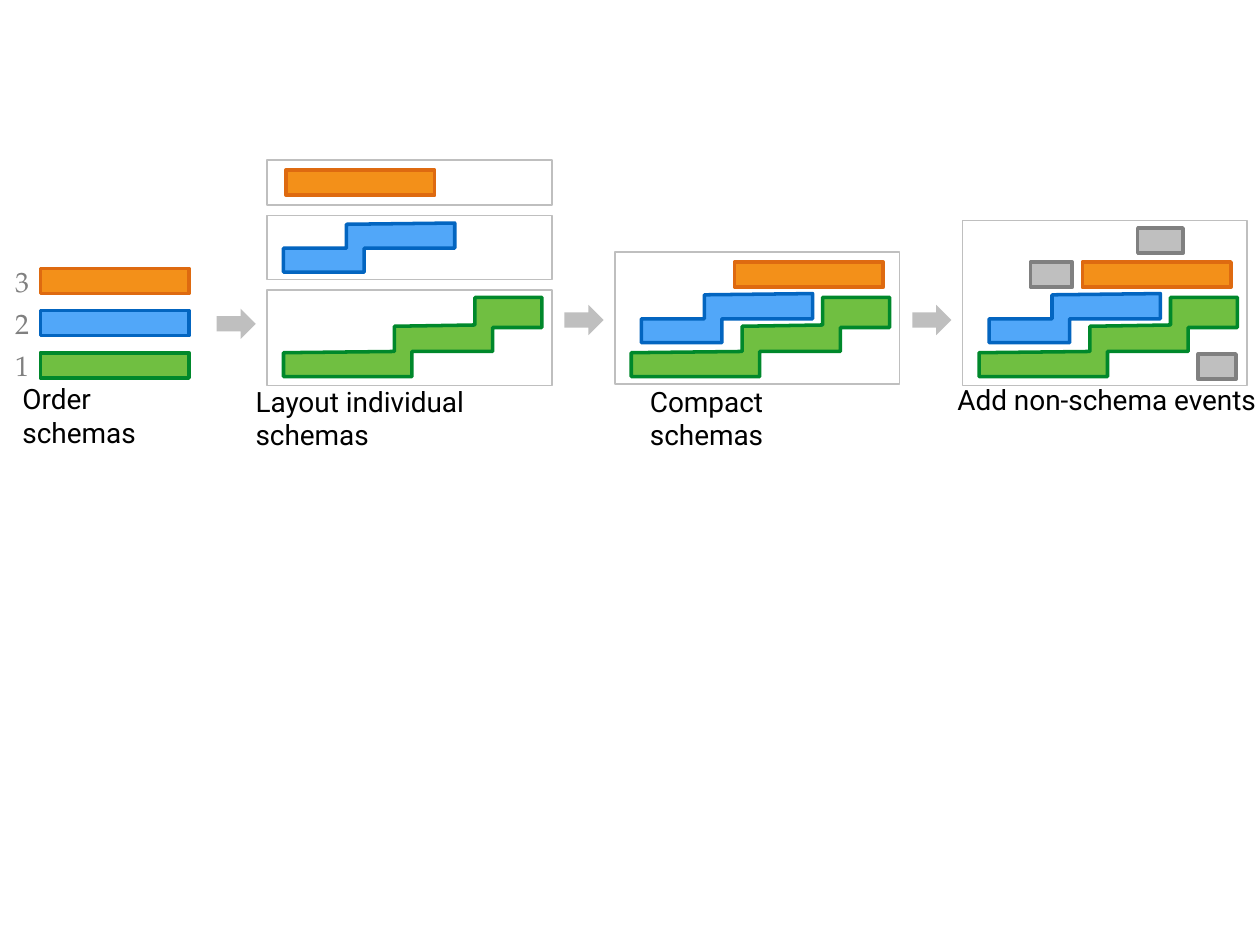
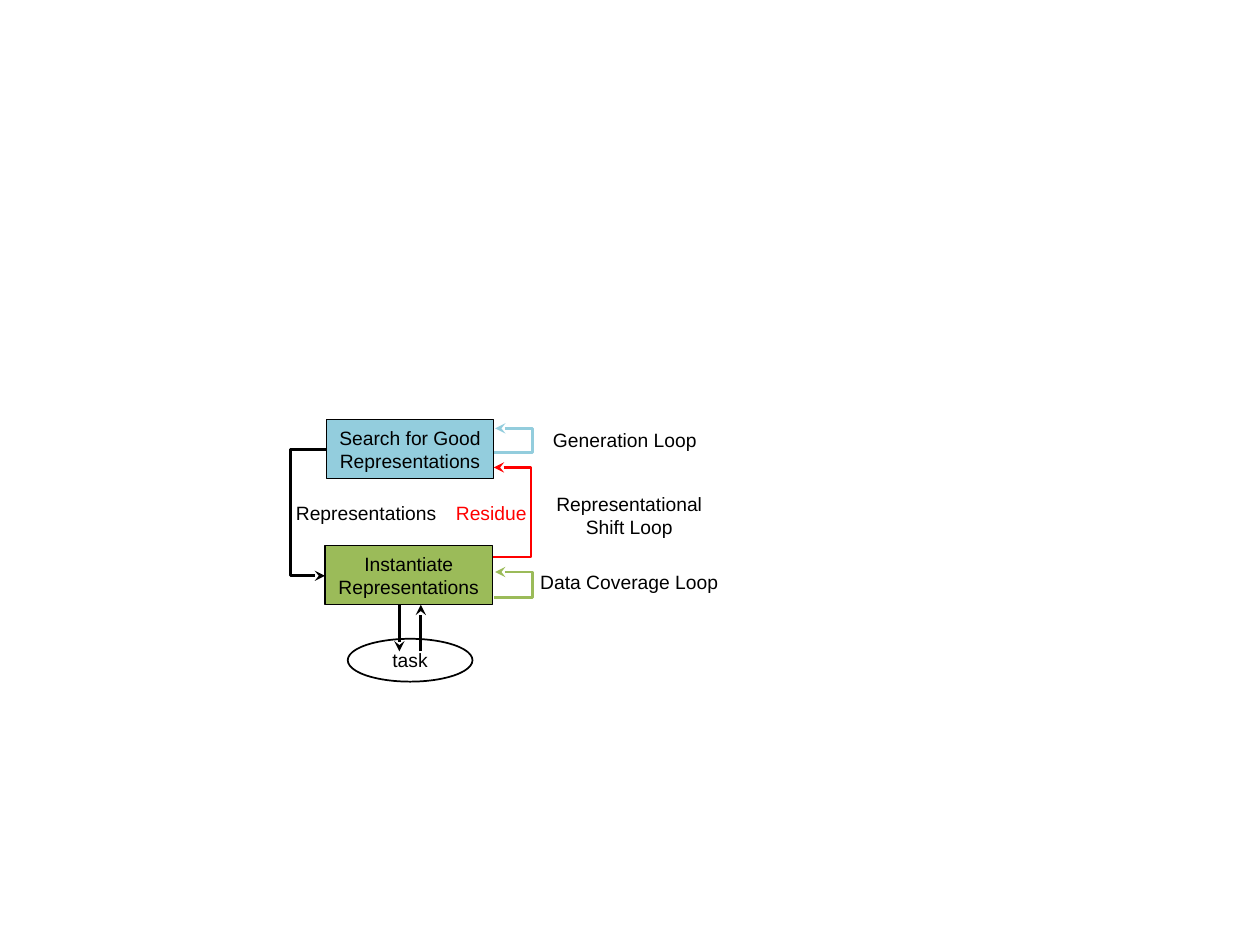
from lxml import etree
from pptx import Presentation
from pptx.dml.color import RGBColor
from pptx.enum.shapes import MSO_CONNECTOR, MSO_SHAPE
from pptx.enum.text import MSO_ANCHOR, PP_ALIGN
from pptx.oxml.ns import qn
from pptx.util import Inches, Pt

RECT, ROUND = MSO_SHAPE.RECTANGLE, MSO_SHAPE.ROUNDED_RECTANGLE
ARROW, OVAL = MSO_SHAPE.RIGHT_ARROW, MSO_SHAPE.OVAL
STRAIGHT, ELBOW = MSO_CONNECTOR.STRAIGHT, MSO_CONNECTOR.ELBOW
LEFT, CENTER, RIGHT = PP_ALIGN.LEFT, PP_ALIGN.CENTER, PP_ALIGN.RIGHT
TOP, MIDDLE = MSO_ANCHOR.TOP, MSO_ANCHOR.MIDDLE

COLORS = {
    "black": "000000", "red": "FF0000",
    "gray": "BFBFBF", "gray_line": "808080",
    "green": "70BF41", "green_line": "00882B",
    "blue": "51A7F9", "blue_line": "0365C0",
    "orange": "F39019", "orange_line": "DE6A10",
    "search": "93CDDD", "instantiate": "9BBB59",
}

# Slide 1: schema layout steps
BAR_W, BAR_H = 1.18, 0.2
PANEL_X, PANEL_W, STEP = 2.12, 2.26, 2.76
ORDER = [("3", "orange"), ("2", "blue"), ("1", "green")]
ORDER_Y, ORDER_GAP = 2.13, 0.335
ARROW_TOPS = [2.45, 2.42, 2.42]

# Outlines relative to their top left corner
GREEN_STEPS = [(0, 0.63), (1.02, 0.63), (1.02, 0.43), (1.66, 0.43), (1.66, 0.24),
               (2.05, 0.24), (2.05, 0), (1.52, 0), (1.52, 0.22), (0.88, 0.23),
               (0.88, 0.43), (0, 0.44)]
BLUE_STEPS = [(0, 0.39), (0.64, 0.39), (0.64, 0.2), (1.36, 0.2), (1.36, 0),
              (0.5, 0.01), (0.5, 0.2), (0, 0.2)]

# Frames are (top, height); schema places are (offset in panel, top)
PANELS = [
    {"frames": [(2.3, 0.76), (1.71, 0.51), (1.27, 0.36)],
     "blue": (0.13, 1.77), "orange": (0.15, 1.35)},
    {"frames": [(2, 1.05)], "blue": (0.21, 2.33), "orange": (0.95, 2.08)},
    {"frames": [(1.75, 1.31)], "blue": (0.21, 2.33), "orange": (0.95, 2.08)},
]
GREEN_PLACE = (0.13, 2.36)
OTHER_EVENTS = [(8.18, 2.08, 0.33), (9.51, 2.81, 0.3), (9.03, 1.81, 0.36)]
STEP_LABELS = [
    ("Order\vschemas", 0.08, 2.98, 1.69),
    ("Layout individual\vschemas", 1.93, 3, 2.74),
    ("Compact\vschemas", 5.06, 3, 2.04),
    ("Add non-schema events", 7.5, 2.99, 2.57),
]

# Slide 2: representation loops
BOXES = [
    ("Search for Good\nRepresentations".replace("\n", " "), 2.59, 3.33, "search"),
    ("Instantiate\nRepresentations", 2.58, 4.33, "instantiate"),
]
LOOP_LABELS = [
    ("Representations", 2.25, 3.93, 1.33, 0.29, LEFT, "black"),
    ("Residue", 3.52, 3.93, 0.77, 0.29, LEFT, "red"),
    ("Generation Loop", 4.29, 3.35, 1.35, 0.29, LEFT, "black"),
    ("Representational\nShift Loop", 4.31, 3.86, 1.37, 0.47, CENTER, "black"),
    ("Data Coverage Loop", 4.16, 4.48, 1.67, 0.29, CENTER, "black"),
]
# Start, end, x of the vertical stretch, colour, end that carries the arrowhead
LOOPS = [
    ((2.59, 3.57), (2.58, 4.57), 2.3, "black", "tailEnd"),
    ((3.92, 3.71), (3.91, 4.42), 4.22, "red", "headEnd"),
    ((3.93, 3.4), (3.92, 3.59), 4.23, "search", "headEnd"),
    ((3.93, 4.54), (3.92, 4.74), 4.23, "instantiate", "headEnd"),
]
TASK_ARROWS = [((3.17, 4.8), (3.17, 5.17)), ((3.34, 5.17), (3.34, 4.8))]


def rgb(name):
    return RGBColor.from_string(COLORS[name])


def paint(sp, fill=None, line=None, width=1):
    sp.shadow.inherit = False
    if fill:
        sp.fill.solid()
        sp.fill.fore_color.rgb = rgb(fill)
    else:
        sp.fill.background()
    if line:
        sp.line.color.rgb = rgb(line)
        sp.line.width = Pt(width)
    else:
        sp.line.fill.background()


def add_shape(slide, kind, x, y, w, h, fill=None, line=None, width=1):
    sp = slide.shapes.add_shape(kind, Inches(x), Inches(y), Inches(w), Inches(h))
    paint(sp, fill, line, width)
    return sp


def write(sp, text, font, size, color="black", align=LEFT, anchor=TOP, sides=(0.1, 0)):
    tf = sp.text_frame
    tf.word_wrap = True
    tf.vertical_anchor = anchor
    tf.margin_left, tf.margin_right = map(Inches, sides)
    tf.text = text
    for p in tf.paragraphs:
        p.alignment = align
        p.font.name = font
        p.font.size = Pt(size)
        p.font.color.rgb = rgb(color)


def add_label(slide, text, x, y, w, h, *style, **options):
    sp = slide.shapes.add_textbox(Inches(x), Inches(y), Inches(w), Inches(h))
    write(sp, text, *style, **options)


def add_event(slide, x, y, color, w=BAR_W):
    sp = add_shape(slide, ROUND, x, y, w, BAR_H, color, color + "_line", 2)
    sp.adjustments[0] = 0


def add_steps(slide, outline, x, y, color):
    points = [(Inches(x + dx), Inches(y + dy)) for dx, dy in outline]
    builder = slide.shapes.build_freeform(*points[0], scale=1.0)
    builder.add_line_segments(points[1:], close=True)
    paint(builder.convert_to_shape(), color, color + "_line", 2)


def add_arrow(slide, start, end, color="black", head="tailEnd", bend_x=None):
    """Draw a straight arrow, or an elbow whose vertical stretch is at bend_x."""
    kind = STRAIGHT if bend_x is None else ELBOW
    c = slide.shapes.add_connector(kind, *map(Inches, start + end))
    c.line.color.rgb = rgb(color)
    c.line.width = Pt(1.5)
    etree.SubElement(c.line._get_or_add_ln(), qn("a:" + head), type="stealth")
    props = c._element.spPr
    etree.SubElement(props, qn("a:effectLst"))
    if bend_x is not None:
        ratio = (bend_x - start[0]) / (end[0] - start[0])
        guides = props.find(qn("a:prstGeom")).get_or_add_avLst()
        etree.SubElement(guides, qn("a:gd"), name="adj1",
                         fmla=f"val {round(ratio * 100000)}")


def build_schema_steps(slide):
    for i, (number, color) in enumerate(ORDER):
        y = ORDER_Y + i * ORDER_GAP
        add_event(slide, 0.32, y, color)
        add_label(slide, number, 0.01, y - 0.08, 0.22, 0.37, "TeX Gyre Pagella", 16,
                  "gray_line", RIGHT, sides=(0, 0))

    for i, (panel, arrow_y) in enumerate(zip(PANELS, ARROW_TOPS)):
        x = PANEL_X + i * STEP
        add_shape(slide, ARROW, x - 0.4, arrow_y, 0.31, 0.24, "gray")
        for top, height in panel["frames"]:
            add_shape(slide, RECT, x, top, PANEL_W, height, line="gray")
        for outline, (dx, y), color in [(GREEN_STEPS, GREEN_PLACE, "green"),
                                        (BLUE_STEPS, panel["blue"], "blue")]:
            add_steps(slide, outline, x + dx, y, color)
        dx, y = panel["orange"]
        add_event(slide, x + dx, y, "orange")

    for x, y, w in OTHER_EVENTS:
        add_event(slide, x, y, "gray", w)
    for text, x, y, w in STEP_LABELS:
        add_label(slide, text, x, y, w, 0.37, "Roboto", 16)


def build_loops(slide):
    for text, x, y, fill in BOXES:
        sp = add_shape(slide, RECT, x, y, 1.33, 0.47, fill, "black", 0.75)
        write(sp, text, "Arial", 11, align=CENTER, anchor=MIDDLE, sides=(0.05, 0.05))
    for start, end, bend_x, color, head in LOOPS:
        add_arrow(slide, start, end, color, head, bend_x)
    for text, x, y, w, h, align, color in LOOP_LABELS:
        sides = (0.1, 0.1) if align == CENTER else (0.1, 0)
        add_label(slide, text, x, y, w, h, "Arial", 11, color, align, sides=sides)
    for start, end in TASK_ARROWS:
        add_arrow(slide, start, end)
    task = add_shape(slide, OVAL, 2.76, 5.07, 0.99, 0.34, line="black")
    task.text_frame.margin_top = task.text_frame.margin_bottom = 0
    write(task, "task", "Arial", 11, align=CENTER, anchor=MIDDLE, sides=(0, 0))


def main():
    prs = Presentation()
    prs.slide_width, prs.slide_height = Inches(10), Inches(7.5)
    for build in (build_schema_steps, build_loops):
        build(prs.slides.add_slide(prs.slide_layouts[6]))
    prs.save("out.pptx")


if __name__ == "__main__":
    main()
